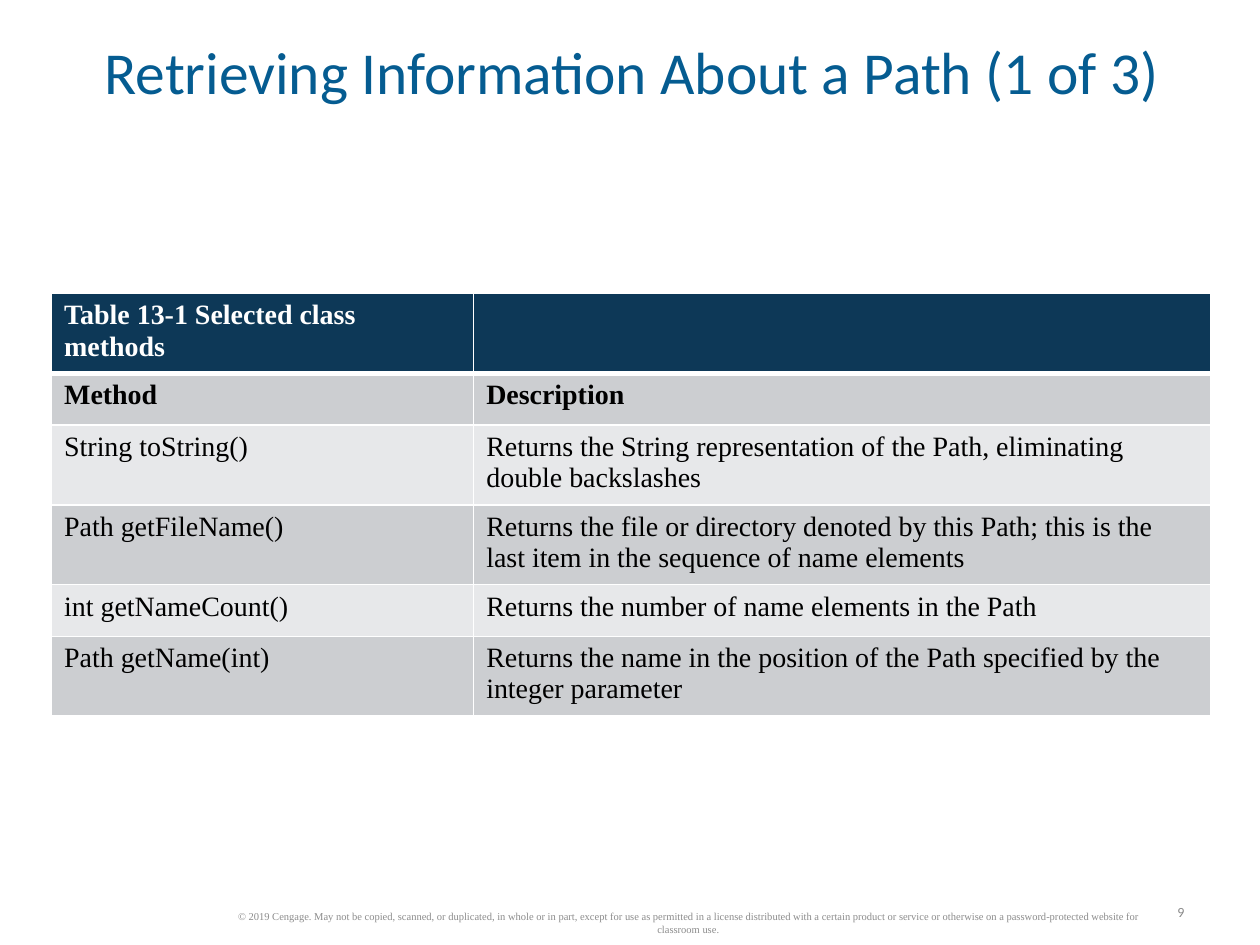
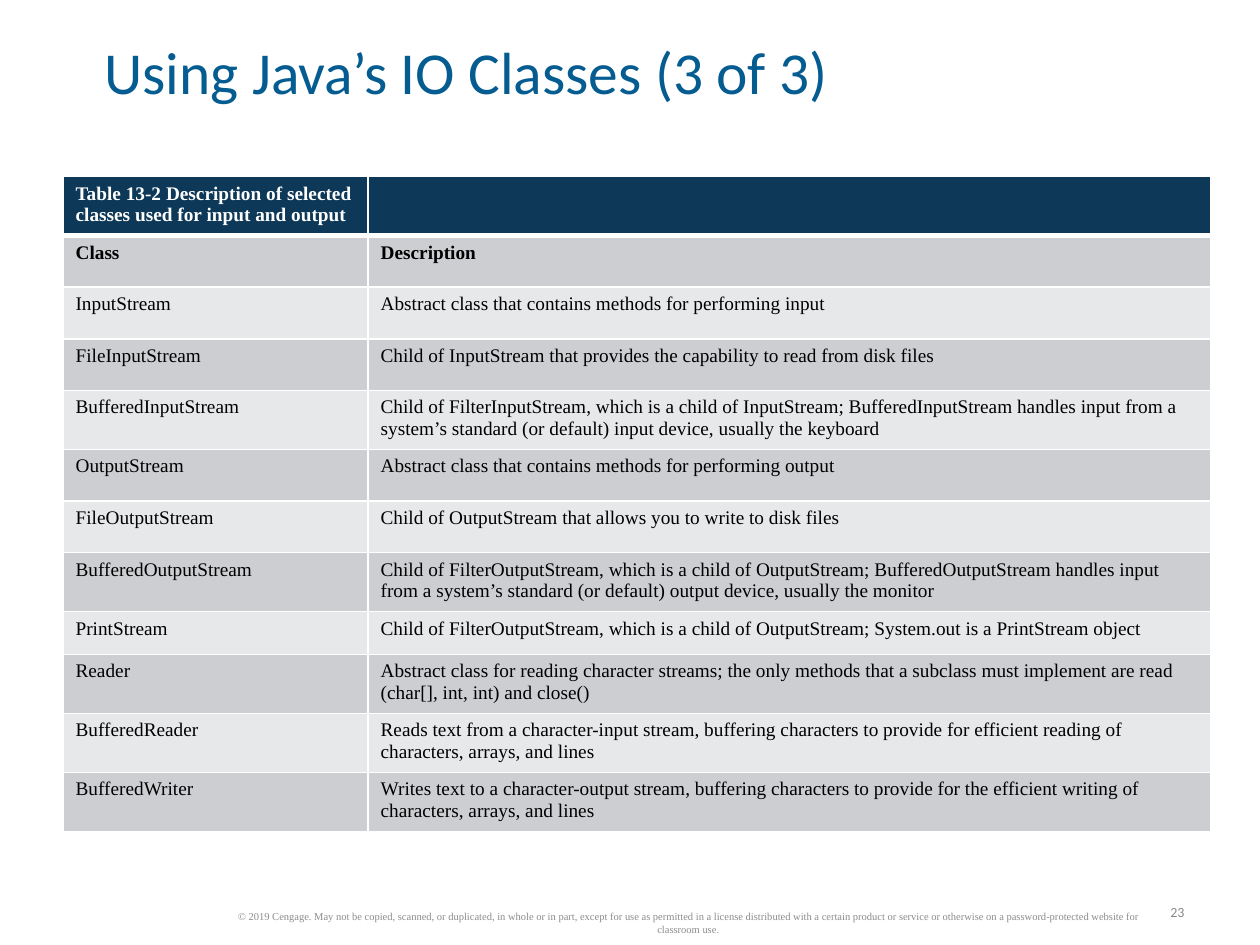
from pptx import Presentation
from pptx.dml.color import RGBColor
from pptx.enum.text import MSO_ANCHOR, MSO_AUTO_SIZE, PP_ALIGN
from pptx.oxml import parse_xml
from pptx.oxml.ns import nsdecls
from pptx.util import Cm, Pt

COLORS = {
    "title": "055C91",
    "header": "0D3857",
    "dark_band": "CCCED1",
    "light_band": "E7E8EA",
    "white": "FFFFFF",
    "black": "000000",
    "copyright": "8C8C8C",
    "page": "898989",
}
BODY_FONT = "Times New Roman"
HEADING_FONT = "Calibri"
COPYRIGHT = (
    "© 2019 Cengage. May not be copied, scanned, or duplicated, in whole or in part, "
    "except for use as permitted in a license distributed with a certain product or service "
    "or otherwise on a password-protected website for classroom use."
)

lessons = [
    {
        "title": "Retrieving Information About a Path (1 of 3)",
        "page": "9",
        "left": 1.04,
        "top": 5.92,
        "columns": (8.51, 14.86),
        "size": 16,
        "rows": [
            (1.04, "Table 13-1 Selected class methods", ""),
            (1.04, "Method", "Description"),
            (1.6, "String toString()",
             "Returns the String representation of the Path, eliminating double backslashes"),
            (1.6, "Path getFileName()",
             "Returns the file or directory denoted by this Path; this is the last item "
             "in the sequence of name elements"),
            (1.04, "int getNameCount()", "Returns the number of name elements in the Path"),
            (1.6, "Path getName(int)",
             "Returns the name in the position of the Path specified by the integer parameter"),
        ],
    },
    {
        "title": "Using Java’s IO Classes (3 of 3)",
        "page": "23",
        "left": 1.27,
        "top": 3.56,
        "columns": (6.15, 16.99),
        "size": 11,
        "rows": [
            (1.19, "Table 13-2 Description of selected classes used for input and output", ""),
            (1.04, "Class", "Description"),
            (1.04, "InputStream", "Abstract class that contains methods for performing input"),
            (1.04, "FileInputStream",
             "Child of InputStream that provides the capability to read from disk files"),
            (1.19, "BufferedInputStream",
             "Child of FilterInputStream, which is a child of InputStream; BufferedInputStream "
             "handles input from a system’s standard (or default) input device, usually the keyboard"),
            (1.04, "OutputStream", "Abstract class that contains methods for performing output"),
            (1.04, "FileOutputStream",
             "Child of OutputStream that allows you to write to disk files"),
            (1.19, "BufferedOutputStream",
             "Child of FilterOutputStream, which is a child of OutputStream; BufferedOutputStream "
             "handles input from a system’s standard (or default) output device, usually the monitor"),
            (0.86, "PrintStream",
             "Child of FilterOutputStream, which is a child of OutputStream; "
             "System.out is a PrintStream object"),
            (1.19, "Reader",
             "Abstract class for reading character streams; the only methods that a subclass "
             "must implement are read (char[], int, int) and close()"),
            (1.19, "BufferedReader",
             "Reads text from a character-input stream, buffering characters to provide for "
             "efficient reading of characters, arrays, and lines"),
            (1.19, "BufferedWriter",
             "Writes text to a character-output stream, buffering characters to provide for "
             "the efficient writing of characters, arrays, and lines"),
        ],
    },
]


def write(frame, text, font_name, size, color, align=PP_ALIGN.LEFT, bold=False):
    paragraph = frame.paragraphs[0]
    paragraph.text = text
    paragraph.alignment = align
    paragraph.font.name = font_name
    paragraph.font.size = Pt(size)
    paragraph.font.bold = bold
    paragraph.font.color.rgb = RGBColor.from_string(COLORS[color])
    return paragraph


def add_borders(cell, row_index):
    top = 3 if row_index == 1 else 1
    bottom = 3 if row_index == 0 else 1
    for side, width in (("L", 1), ("R", 1), ("T", top), ("B", bottom)):
        cell._tc.get_or_add_tcPr().append(parse_xml(
            f'<a:ln{side} {nsdecls("a")} w="{Pt(width)}"><a:solidFill>'
            f'<a:srgbClr val="{COLORS["white"]}"/></a:solidFill></a:ln{side}>'
        ))


prs = Presentation()
prs.slide_width = Cm(25.4)
prs.slide_height = Cm(19.05)

for lesson in lessons:
    slide = prs.slides.add_slide(prs.slide_layouts[5])

    title = slide.shapes.title
    title.left, title.top, title.width, title.height = Cm(2.11), Cm(0.91), Cm(22.3), Cm(1.24)
    heading = title.text_frame
    heading.margin_left = heading.margin_right = heading.margin_top = heading.margin_bottom = 0
    heading.vertical_anchor = MSO_ANCHOR.MIDDLE
    heading.word_wrap = True
    heading.auto_size = MSO_AUTO_SIZE.SHAPE_TO_FIT_TEXT
    write(heading, lesson["title"], HEADING_FONT, 34, "title").line_spacing = 0.85

    rows = lesson["rows"]
    methods = slide.shapes.add_table(
        len(rows), 2, Cm(lesson["left"]), Cm(lesson["top"]),
        Cm(sum(lesson["columns"])), Cm(sum(row[0] for row in rows)),
    ).table
    for column, width in zip(methods.columns, lesson["columns"]):
        column.width = Cm(width)
    for row_index, (height, *texts) in enumerate(rows):
        methods.rows[row_index].height = Cm(height)
        band = "dark_band" if row_index % 2 else "light_band"
        for column_index, text in enumerate(texts):
            cell = methods.cell(row_index, column_index)
            add_borders(cell, row_index)
            cell.fill.solid()
            cell.fill.fore_color.rgb = RGBColor.from_string(
                COLORS["header" if row_index == 0 else band])
            if text:
                write(cell.text_frame, text, BODY_FONT, lesson["size"],
                      "white" if row_index == 0 else "black", bold=row_index < 2)

    copyright_line = slide.shapes.add_textbox(Cm(4.45), Cm(18.26), Cm(18.85), Cm(0.69)).text_frame
    copyright_line.word_wrap = True
    copyright_line.vertical_anchor = MSO_ANCHOR.MIDDLE
    write(copyright_line, COPYRIGHT, BODY_FONT, 6, "copyright", PP_ALIGN.CENTER)

    page_number = slide.shapes.add_textbox(Cm(23.27), Cm(18.08), Cm(0.86), Cm(0.61)).text_frame
    page_number.word_wrap = False
    page_number.auto_size = MSO_AUTO_SIZE.SHAPE_TO_FIT_TEXT
    page_number.vertical_anchor = MSO_ANCHOR.MIDDLE
    write(page_number, lesson["page"], HEADING_FONT, 8, "page", PP_ALIGN.RIGHT)

prs.save("out.pptx")
